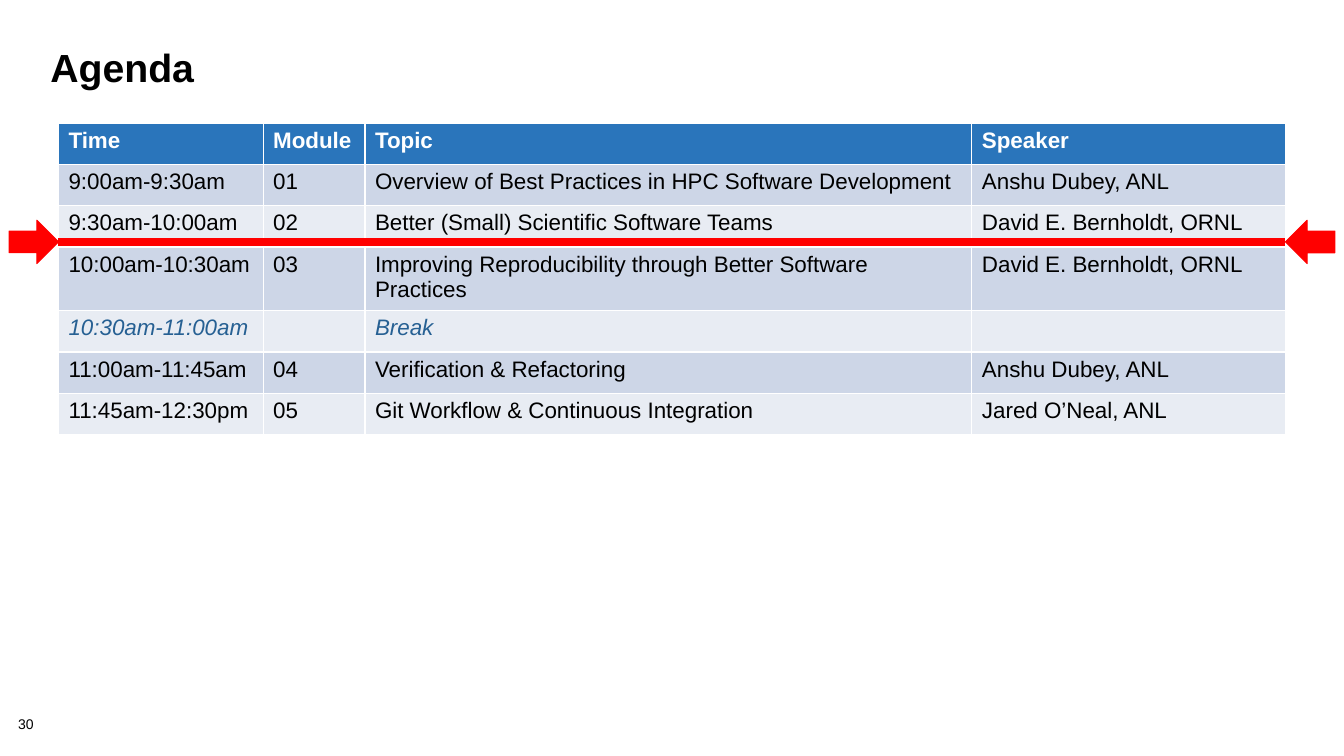
"""Build the agenda slide with its progress marker."""
from dataclasses import dataclass

from lxml.etree import SubElement
from pptx import Presentation
from pptx.dml.color import RGBColor
from pptx.enum.shapes import MSO_CONNECTOR, MSO_SHAPE
from pptx.enum.text import MSO_ANCHOR, PP_ALIGN
from pptx.oxml.ns import qn
from pptx.shapes.group import GroupShape
from pptx.slide import Slide
from pptx.text.text import TextFrame
from pptx.util import Inches, Pt


@dataclass(frozen=True)
class Theme:
    font: str = "Arial"
    text: str = "000000"
    header_text: str = "FFFFFF"
    header_fill: str = "2A75BB"
    bands: tuple[str, str] = ("CDD6E7", "E8ECF3")
    pause: str = "266093"
    marker: str = "FF0000"
    title_size: float = 28
    table_size: float = 16
    number_size: float = 10


@dataclass(frozen=True)
class Session:
    time: str
    module: str
    topic: str
    speaker: str
    height: float = 0.41
    is_break: bool = False


@dataclass(frozen=True)
class Arrow:
    left: float
    rotation: float


THEME = Theme()
HEADER = Session("Time", "Module", "Topic", "Speaker")
SESSIONS = [
    Session("9:00am-9:30am", "01", "Overview of Best Practices in HPC Software Development", "Anshu Dubey, ANL"),
    Session("9:30am-10:00am", "02", "Better (Small) Scientific Software Teams", "David E. Bernholdt, ORNL"),
    Session("10:00am-10:30am", "03", "Improving Reproducibility through Better Software Practices",
            "David E. Bernholdt, ORNL", height=0.63),
    Session("10:30am-11:00am", "", "Break", "", is_break=True),
    Session("11:00am-11:45am", "04", "Verification & Refactoring", "Anshu Dubey, ANL"),
    Session("11:45am-12:30pm", "05", "Git Workflow & Continuous Integration", "Jared O’Neal, ANL"),
]
COLUMNS = [2.03, 1.01, 6.02, 3.11]
TABLE_LEFT, TABLE_TOP = 0.58, 1.22
TABLE_RIGHT = TABLE_LEFT + sum(COLUMNS)
MARKER_Y = 2.4
ARROW_W, ARROW_H = 0.49, 0.43
ARROWS = [Arrow(TABLE_LEFT - ARROW_W, 0), Arrow(TABLE_RIGHT, 180)]


def write(tf: TextFrame, text: str, *, size: float, color: str = THEME.text, bold: bool = False,
          italic: bool = False, spacing: float = 1.0) -> None:
    """Put one formatted, left-aligned paragraph in a text frame."""
    p = tf.paragraphs[0]
    p.alignment = PP_ALIGN.LEFT
    p.line_spacing = spacing
    r = p.add_run()
    r.text = text
    r.font.name = THEME.font
    r.font.size = Pt(size)
    r.font.bold = bold
    r.font.italic = italic
    r.font.color.rgb = RGBColor.from_string(color)


def add_title(s: Slide, text: str) -> None:
    """Move and fill the title placeholder."""
    sp = s.shapes.title
    sp.left, sp.top, sp.width, sp.height = map(Inches, (0.4, 0.45, 12.44, 1))
    sp.text_frame.vertical_anchor = MSO_ANCHOR.TOP
    write(sp.text_frame, text, size=THEME.title_size, bold=True, spacing=0.85)


def add_number(s: Slide, text: str) -> None:
    """Add the page number at the lower left."""
    tf = s.shapes.add_textbox(*map(Inches, (0.18, 7.12, 0.56, 0.16))).text_frame
    tf.margin_left = tf.margin_top = tf.margin_right = tf.margin_bottom = 0
    tf.word_wrap = True
    write(tf, text, size=THEME.number_size, spacing=0.9)


def add_agenda(s: Slide, sessions: list[Session]) -> None:
    """Add the agenda table with a header and banded rows."""
    rows = [HEADER, *sessions]
    size = sum(COLUMNS), sum(row.height for row in rows)
    table = s.shapes.add_table(len(rows), len(COLUMNS), *map(Inches, (TABLE_LEFT, TABLE_TOP, *size))).table
    for column, width in zip(table.columns, COLUMNS):
        column.width = Inches(width)
    for i, row in enumerate(rows):
        table.rows[i].height = Inches(row.height)
        is_header = i == 0
        fill = THEME.header_fill if is_header else THEME.bands[(i - 1) % 2]
        color = THEME.header_text if is_header else THEME.pause if row.is_break else THEME.text
        for j, text in enumerate((row.time, row.module, row.topic, row.speaker)):
            cell = table.cell(i, j)
            cell.fill.solid()
            cell.fill.fore_color.rgb = RGBColor.from_string(fill)
            if text:
                write(cell.text_frame, text, size=THEME.table_size, color=color,
                      bold=is_header, italic=row.is_break)


def add_arrow(group: GroupShape, arrow: Arrow) -> None:
    """Add one block arrow pointing at the marker line."""
    box = arrow.left, MARKER_Y - ARROW_H / 2, ARROW_W, ARROW_H
    sp = group.shapes.add_shape(MSO_SHAPE.RIGHT_ARROW, *map(Inches, box))
    sp.rotation = arrow.rotation
    sp.shadow.inherit = False
    sp.fill.solid()
    sp.fill.fore_color.rgb = sp.line.color.rgb = RGBColor.from_string(THEME.marker)
    sp.line.width = Pt(0.75)


def add_marker(s: Slide) -> None:
    """Group the line across the table with its two arrows."""
    group = s.shapes.add_group_shape()
    ends = TABLE_LEFT, MARKER_Y, TABLE_RIGHT, MARKER_Y
    line = group.shapes.add_connector(MSO_CONNECTOR.STRAIGHT, *map(Inches, ends))
    line.line.color.rgb = RGBColor.from_string(THEME.marker)
    line.line.width = Pt(6)
    SubElement(line._element.spPr, qn("a:effectLst"))
    for arrow in ARROWS:
        add_arrow(group, arrow)


def main() -> None:
    """Create and save the presentation."""
    prs = Presentation()
    prs.slide_width, prs.slide_height = Inches(13.33), Inches(7.5)
    s = prs.slides.add_slide(prs.slide_layouts[5])
    add_number(s, "30")
    add_title(s, "Agenda")
    add_agenda(s, SESSIONS)
    add_marker(s)
    prs.save("out.pptx")


if __name__ == "__main__":
    main()
